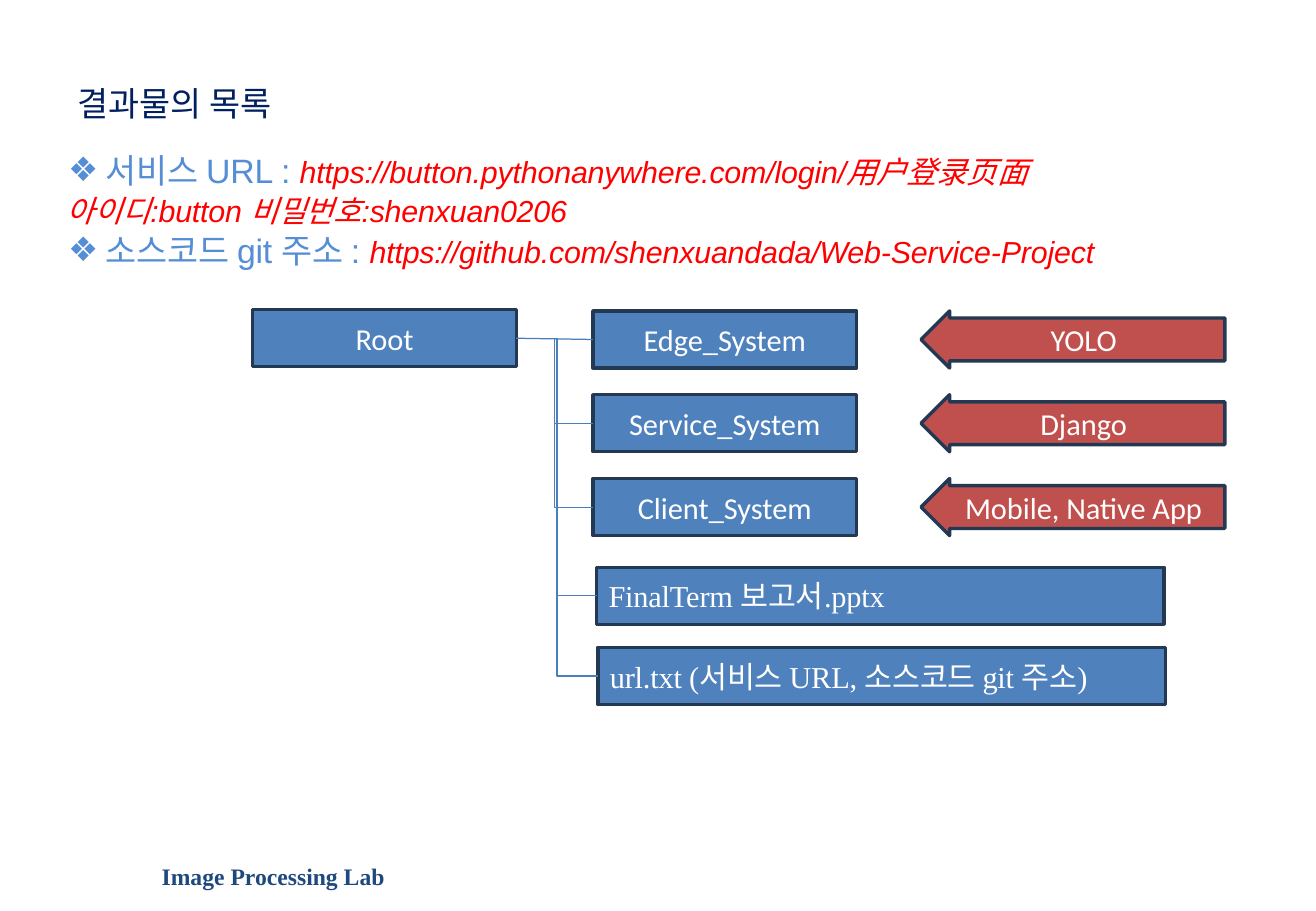
from lxml.etree import SubElement
from pptx import Presentation
from pptx.dml.color import RGBColor
from pptx.enum.shapes import MSO_CONNECTOR as LINE, MSO_SHAPE as SHAPE
from pptx.enum.text import MSO_ANCHOR as ANCHOR, PP_ALIGN as ALIGN
from pptx.oxml.ns import qn
from pptx.util import Pt

PX = 9144
BLUE, RED, EDGE, WIRE = "4F81BD", "C0504D", "233953", "4B7EBC"
SERIF, SANS, LABEL = "Times New Roman", "Arial", "Calibri"


def px(*lengths):
    return [n * PX for n in lengths]


def color(value):
    return RGBColor.from_string(value)


def style(r, size, font, hue, bold=False, italic=False, spacing=0):
    f = r.font
    f.size, f.name, f.bold, f.italic = Pt(size), font, bold, italic
    f.color.rgb = color(hue)
    if spacing:
        r._r.get_or_add_rPr().set("spc", str(spacing))


def add_text(s, box):
    tf = s.shapes.add_textbox(*px(*box)).text_frame
    tf.word_wrap = True
    tf.margin_left = tf.margin_right = tf.margin_bottom = 0
    tf.margin_top = PX
    return tf


def add_line_text(s, box, text, size, hue, bold=False):
    p = add_text(s, box).paragraphs[0]
    p.text = text
    p._p.get_or_add_pPr().set("marL", str(PX))
    style(p.runs[0], size, SERIF, hue, bold)


def add_bullet(p):
    pPr = p._p.get_or_add_pPr()
    pPr.set("marL", str(33 * PX))
    pPr.set("indent", str(-31 * PX))
    SubElement(pPr, qn("a:buFont")).set("typeface", SANS)
    SubElement(pPr, qn("a:buChar")).set("char", "❖")
    tabs = SubElement(pPr, qn("a:tabLst"))
    tab = SubElement(tabs, qn("a:tab"))
    tab.set("pos", str(33 * PX))
    tab.set("algn", "l")


def add_links(s, box, rows):
    tf = add_text(s, box)
    for i, (name, value) in enumerate(rows):
        p = tf.paragraphs[0] if i == 0 else tf.add_paragraph()
        if name:
            add_bullet(p)
            r = p.add_run()
            r.text = name
            style(r, 20, SANS, "558ED5", spacing=-10)
        else:
            p._p.get_or_add_pPr().set("marL", str(PX))
        r = p.add_run()
        r.text = value
        style(r, 18, SANS, "FF0000", italic=True, spacing=-10)
        if i:
            p.space_before = Pt(1.1)


def add_node(s, box, text, kind=SHAPE.RECTANGLE, fill=BLUE, font=LABEL, align=ALIGN.CENTER):
    sp = s.shapes.add_shape(kind, *px(*box))
    sp.shadow.inherit = False
    sp.fill.solid()
    sp.fill.fore_color.rgb = color(fill)
    sp.line.color.rgb = color(EDGE)
    sp.line.width = Pt(2)
    tf = sp.text_frame
    tf.word_wrap = True
    tf.vertical_anchor = ANCHOR.MIDDLE
    p = tf.paragraphs[0]
    p.text = text
    p.alignment = align
    style(p.runs[0], 18, font, "FFFFFF", spacing=-10 if font == SERIF else 0)
    return sp


def add_wire(s, start, end, kind=LINE.ELBOW):
    c = s.shapes.add_connector(kind, 0, 0, 0, 0)
    c.begin_connect(start, 3)
    c.end_connect(end, 1)
    c.line.color.rgb = color(WIRE)
    c.line.width = Pt(0.75)
    SubElement(c._element.spPr, qn("a:effectLst"))


def add_tree(s, box, systems, files):
    x, y, w, h = box
    node_w, node_h, step = 217, 47, 69
    root = add_node(s, (x, y, node_w, node_h), "Root")
    for i, (system, tool) in enumerate(systems):
        top = y + 1 + i * step
        node = add_node(s, (x + 280, top, node_w, node_h), system)
        add_wire(s, root, node, LINE.ELBOW if i else LINE.STRAIGHT)
        arrow = add_node(s, (x + w - 250, top, 250, node_h), tool, SHAPE.LEFT_ARROW, RED)
        arrow.adjustments[0] = 0.75
    for i, name in enumerate(files):
        top = y + h - node_h - (len(files) - 1 - i) * 66
        node = add_node(s, (x + 283 + i, top, 467, node_h), name, font=SERIF, align=ALIGN.LEFT)
        add_wire(s, root, node)


def main():
    prs = Presentation()
    prs.slide_width, prs.slide_height = px(1083, 750)
    s = prs.slides.add_slide(prs.slide_layouts[6])
    add_line_text(s, (132, 709, 187, 26), "Image Processing Lab", 14, "1F497D", True)
    add_line_text(s, (63, 67, 287, 35), "결과물의 목록", 20, "002060")
    add_links(s, (54, 122, 965, 102), [
        ("서비스 URL : ", "https://button.pythonanywhere.com/login/用户登录页面"),
        ("", "아이디:button 비밀번호:shenxuan0206"),
        ("소스코드 git 주소 : ", "https://github.com/shenxuandada/Web-Service-Project"),
    ])
    add_tree(
        s, (208, 255, 800, 325),
        [("Edge_System", "YOLO"), ("Service_System", "Django"), ("Client_System", "Mobile, Native App")],
        ["FinalTerm 보고서.pptx", "url.txt (서비스 URL, 소스코드 git 주소)"],
    )
    prs.save("out.pptx")


if __name__ == "__main__":
    main()
